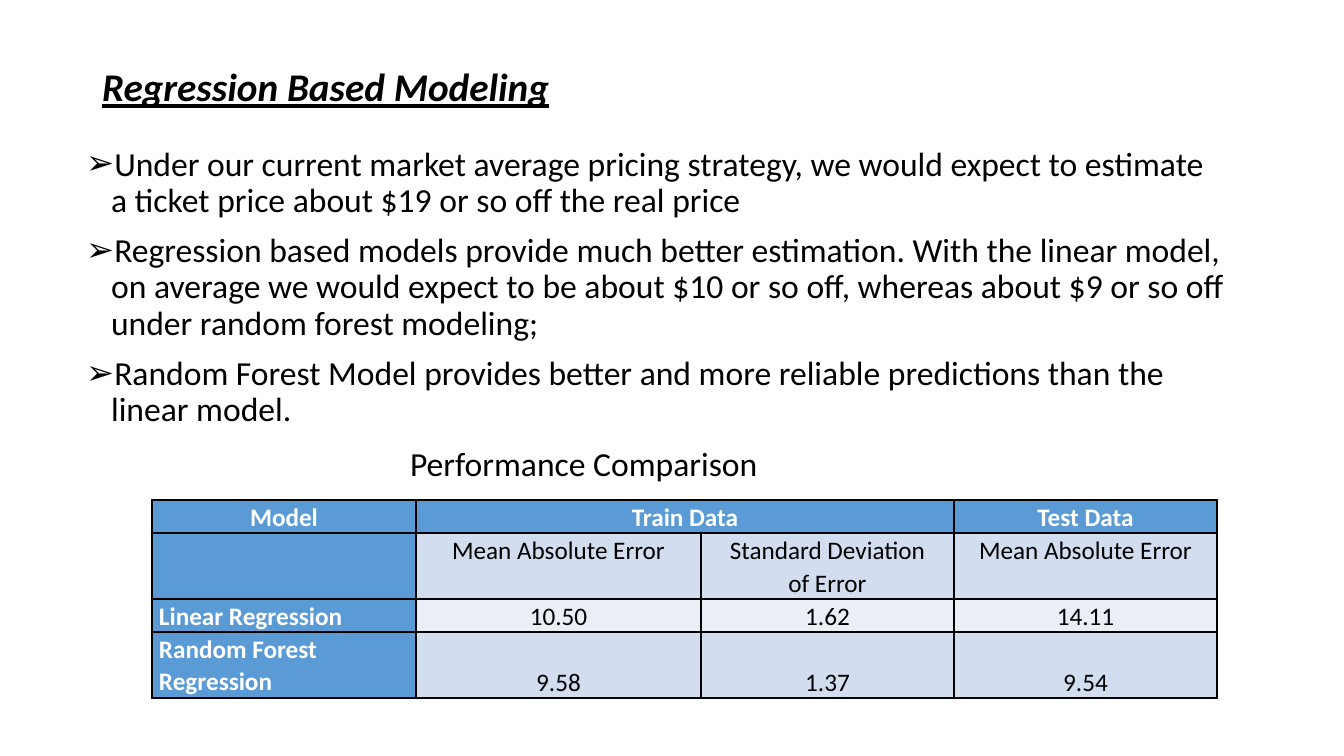
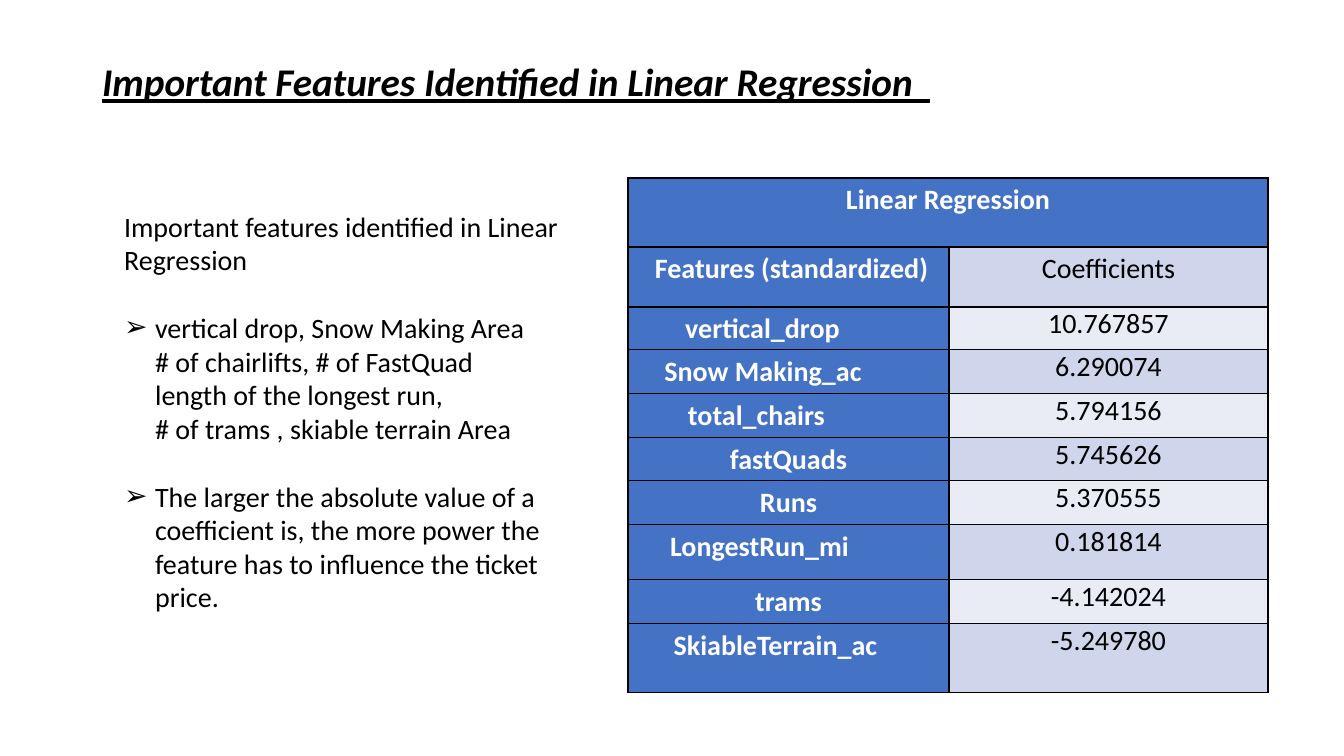
import pptx
import pptx.util
import pptx.dml.color
import pptx.enum.text
import pptx.oxml
import pptx.oxml.ns
import lxml.etree

PX = 914400 / 100.8
ALIGN = pptx.enum.text.PP_ALIGN
ANCHOR = pptx.enum.text.MSO_ANCHOR
THEME = {
    "font": "Calibri",
    "ink": "000000", "paper": "FFFFFF", "border": "000000",
    "title": 28, "body": 24, "side": 20, "metrics": 18, "coefficients": 20,
    "metrics_fills": ("5B9BD5", "D2DEEF", "EAEFF7"),
    "coefficients_fills": ("4472C4", "CFD5EA", "E9EBF5"),
    "bullet": "\u27a2",
}


def write(frame, lines, size, color=THEME["ink"], bold=False, italic=False,
          underline=False, **spacing):
    """Fill a text frame with (text, options) lines sharing one format."""
    frame.word_wrap = True
    for number, (text, options) in enumerate(lines):
        paragraph = frame.paragraphs[0] if number == 0 else frame.add_paragraph()
        paragraph.text = text
        settings = {"alignment": ALIGN.LEFT, "line_spacing": 1.0,
                    "space_before": pptx.util.Pt(0),
                    "space_after": pptx.util.Pt(0), **spacing, **options}
        left = settings.pop("left", 0)
        bulleted = settings.pop("bulleted", False)
        for name, value in settings.items():
            setattr(paragraph, name, value)
        properties = paragraph._p.get_or_add_pPr()
        properties.set("marL", str(round(left * PX)))
        properties.set("indent", str(round(-left * PX) if bulleted else 0))
        mark = lxml.etree.SubElement(properties, pptx.oxml.ns.qn(
            "a:buChar" if bulleted else "a:buNone"))
        if bulleted:
            mark.set("char", THEME["bullet"])
        for name, value in {"name": THEME["font"], "size": pptx.util.Pt(size),
                            "bold": bold, "italic": italic,
                            "underline": underline}.items():
            setattr(paragraph.font, name, value)
        paragraph.font.color.rgb = pptx.dml.color.RGBColor.from_string(color)


def add_grid(slide, left, top, widths, heights):
    """Add a table with thin borders and tight cell margins."""
    box = [round(v * PX) for v in (left, top, sum(widths), sum(heights))]
    table = slide.shapes.add_table(len(heights), len(widths), *box).table
    for column, width in zip(table.columns, widths):
        column.width = round(width * PX)
    for row, height in zip(table.rows, heights):
        row.height = round(height * PX)
    for cell in table.iter_cells():
        for name, value in {"margin_left": 7, "margin_right": 7,
                            "margin_top": 0, "margin_bottom": 0}.items():
            setattr(cell, name, round(value * PX))
        for side in ("lnL", "lnR", "lnT", "lnB"):
            cell._tc.get_or_add_tcPr().append(pptx.oxml.parse_xml(
                f'<a:{side} {pptx.oxml.ns.nsdecls("a")} w="12700"><a:solidFill>'
                f'<a:srgbClr val="{THEME["border"]}"/></a:solidFill></a:{side}>'))
    return table


deck = pptx.Presentation()
deck.slide_width = pptx.util.Inches(13.333)
deck.slide_height = pptx.util.Inches(7.5)

# Titles and lists
item = {"left": 25, "bulleted": True}
side_item = {"left": 31, "bulleted": True, "space_before": pptx.util.Pt(24.4)}
side_more = {"left": 31}
pages = [
    {"title": "Regression Based Modeling",
     "title_box": (92, 16, 1159, 146), "body_box": (76, 142, 1159, 480),
     "size": THEME["body"],
     "spacing": {"line_spacing": 0.9, "space_before": pptx.util.Pt(10)},
     "lines": [
         ("Under our current market average pricing strategy, we would expect to "
          "estimate a ticket price about\u00a0$19 or so off the real price", item),
         ("Regression based models provide much better estimation. With the linear "
          "model, on average we would expect to be about\u00a0$10 or so off, whereas "
          "about\u00a0$9 or so off under random forest modeling;", item),
         ("Random Forest Model provides better and more reliable predictions than "
          "the linear model.", item),
         ("Performance Comparison",
          {"left": 324, "space_before": pptx.util.Pt(13)}),
     ]},
    {"title": "Important Features Identified in Linear Regression  ",
     "title_box": (92, 40, 1159, 88), "body_box": (114, 204, 494, 482),
     "size": THEME["side"], "spacing": {},
     "lines": [
         ("Important features identified in Linear Regression", {}),
         ("vertical drop, Snow Making Area", side_item),
         ("# of chairlifts, # of FastQuad", side_more),
         ("length of the longest run,", side_more),
         ("# of trams , skiable terrain Area", side_more),
         ("The larger the absolute value of a coefficient is, the more power the "
          "feature has to influence the ticket price.", side_item),
     ]},
]
slides = []
for page in pages:
    slide = deck.slides.add_slide(deck.slide_layouts[1])
    slides.append(slide)
    title, body = slide.placeholders
    for part, box in ((title, page["title_box"]), (body, page["body_box"])):
        for name, value in zip(("left", "top", "width", "height"), box):
            setattr(part, name, round(value * PX))
        part.text_frame.auto_size = pptx.enum.text.MSO_AUTO_SIZE.NONE
    title.text_frame.vertical_anchor = ANCHOR.MIDDLE
    write(title.text_frame, [(page["title"], {})], THEME["title"], bold=True,
          italic=True, underline=True, line_spacing=0.9)
    write(body.text_frame, page["lines"], page["size"], **page["spacing"])
body.fill.solid()
body.fill.fore_color.rgb = pptx.dml.color.RGBColor.from_string(THEME["paper"])

# Model errors
errors = [
    ("Model", "Train Data", "", "Test Data"),
    ("", "Mean Absolute Error", "Standard Deviation\nof Error",
     "Mean Absolute Error"),
    ("Linear Regression", "10.50", "1.62", "14.11"),
    ("Random Forest Regression", "9.58", "1.37", "9.54"),
]
metrics = add_grid(slides[0], 152, 500, (264, 285, 253, 263), (33, 66, 33, 66))
metrics.cell(0, 1).merge(metrics.cell(0, 2))

# Coefficients, with the extra right margin of each feature name
features = [
    ("vertical_drop", "10.767857", 52),
    ("Snow Making_ac", "6.290074", 51),
    ("total_chairs", "5.794156", 64),
    ("fastQuads", "5.745626", 0),
    ("Runs", "5.370555", 0),
    ("LongestRun_mi", "0.181814", 58),
    ("trams", "-4.142024", 0),
    ("SkiableTerrain_ac", "-5.249780", 26),
]
coefficients = add_grid(slides[1], 628, 178, (321, 319),
                        (69, 60, 43, 44, 44, 43, 44, 55, 44, 69))
coefficients.cell(0, 0).merge(coefficients.cell(0, 1))
coefficients.cell(1, 0).margin_left = round(13 * PX)
for r, (_, _, margin) in enumerate(features, 2):
    coefficients.cell(r, 0).margin_right = round((7 + margin) * PX)

coefficient_rows = [("Linear Regression", ""),
                    ("Features (standardized)", "Coefficients"),
                    *[feature[:2] for feature in features]]
for table, rows, kind in ((metrics, errors, "metrics"),
                          (coefficients, coefficient_rows, "coefficients")):
    head, dark, light = THEME[kind + "_fills"]
    for r, row in enumerate(rows):
        for c, text in enumerate(row):
            cell = table.cell(r, c)
            heading = r == 0 or c == 0
            cell.fill.solid()
            cell.fill.fore_color.rgb = pptx.dml.color.RGBColor.from_string(
                head if heading else dark if r % 2 else light)
            named = kind == "metrics" and c == 0 and r > 1
            value = kind == "coefficients" and c == 1 and r > 1
            spacing = 1.07 if kind == "metrics" else 1.01 if value else 1.15
            if text:
                write(cell.text_frame, [(line, {}) for line in text.split("\n")],
                      THEME[kind], THEME["paper" if heading else "ink"],
                      bold=heading, line_spacing=spacing,
                      alignment=ALIGN.LEFT if named else ALIGN.CENTER)
for c in range(1, 4):
    metrics.cell(3, c).vertical_anchor = ANCHOR.BOTTOM

deck.save("out.pptx")
